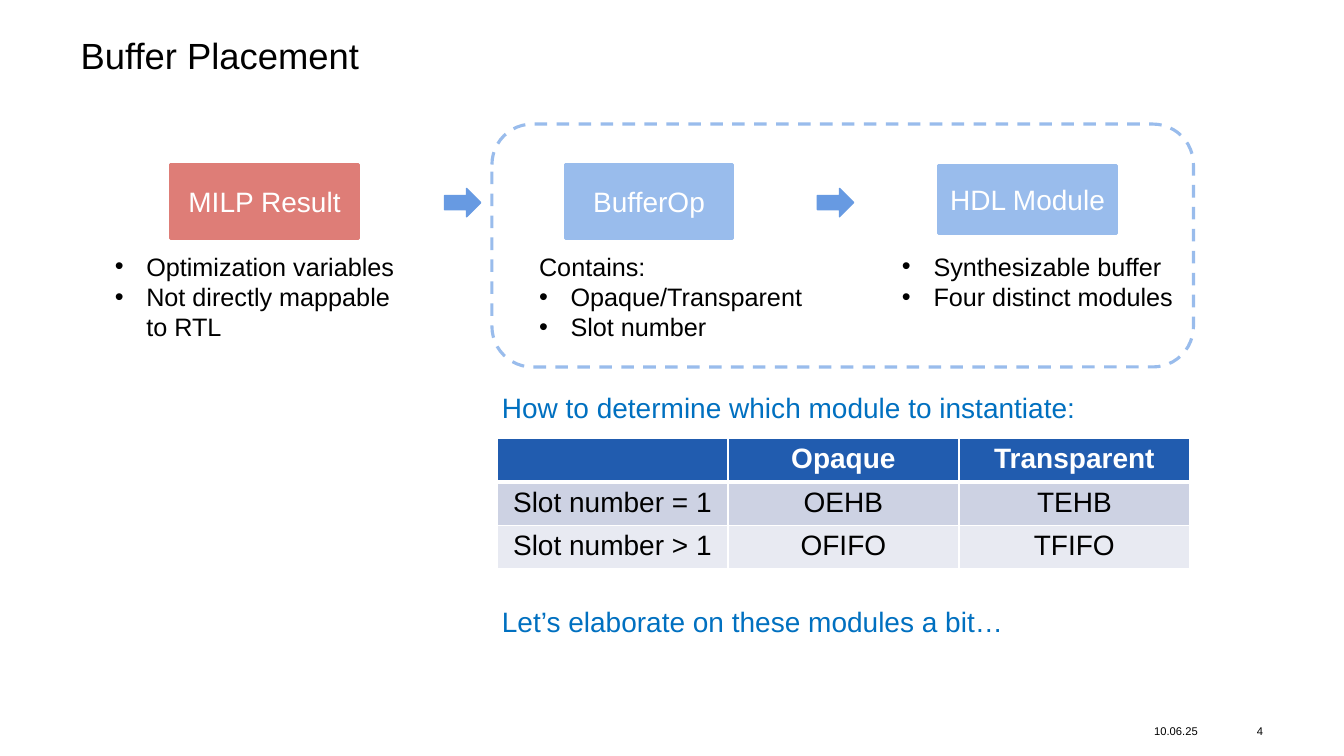
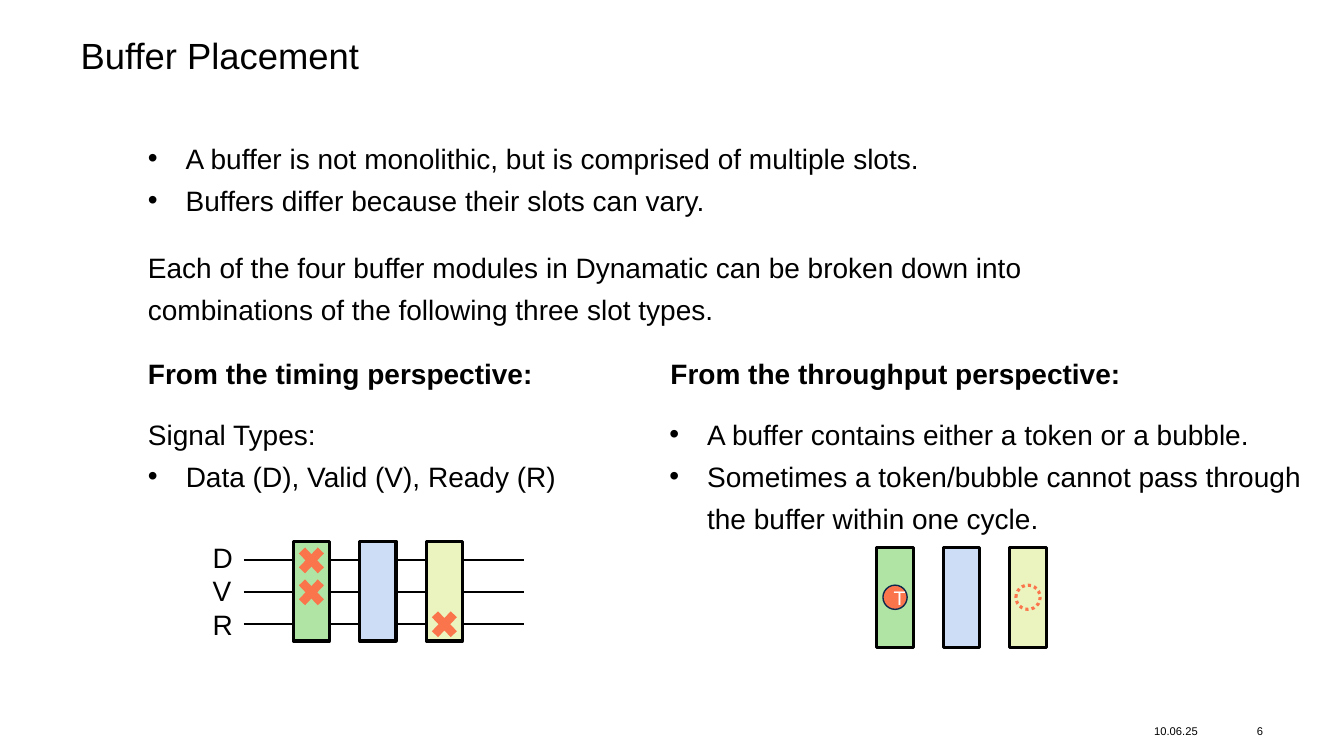
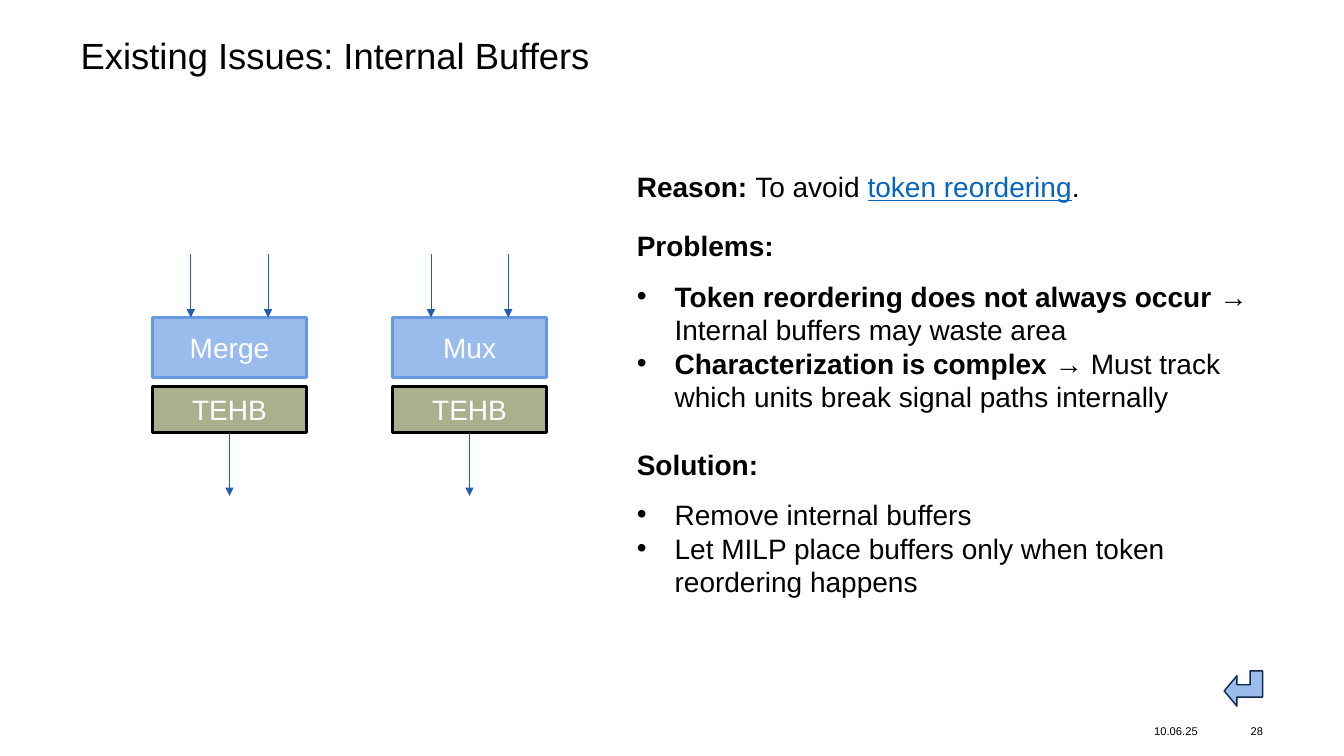
from dataclasses import dataclass
from typing import NamedTuple, Optional

from lxml import etree
from pptx import Presentation
from pptx import util as u
from pptx.dml import color as dml
from pptx.enum import dml as styles
from pptx.enum import shapes, text
from pptx.oxml import ns

COLORS = {
    "black": "000000",
    "white": "FFFFFF",
    "navy": "0E284D",
    "blue": "215CAF",
    "mid_blue": "679AE2",
    "light_blue": "99BCEC",
    "pale_blue": "CCDDF5",
    "caption": "0070C0",
    "link": "0563C1",
    "red": "DE7D77",
    "orange": "FB754C",
    "green": "B0E4A4",
    "lime": "EBF4BE",
    "olive": "AAB08D",
    "odd_row": "CDD2E3",
    "even_row": "E8EAF2",
}
FONT = "Arial"
DATE = "10.06.25"
LOOSE = 30
INSETS = (7.2, 3.6, 7.2, 3.6)
CENTER = text.PP_ALIGN.CENTER
MIDDLE = text.MSO_ANCHOR.MIDDLE
TOP = text.MSO_ANCHOR.TOP
SHAPE = shapes.MSO_SHAPE


class Box(NamedTuple):
    left: float
    top: float
    width: float
    height: float


class Span(NamedTuple):
    words: str
    bold: bool = False
    color: str = "black"
    underline: bool = False


@dataclass
class Line:
    spans: list[Span]
    size: float = 20
    indent: float = 0
    spacing: Optional[float] = None
    before: float = 0
    after: float = 0
    align: Optional[text.PP_ALIGN] = None


@dataclass
class Stage:
    label: str
    box: Box
    fill: str
    notes: Box
    lines: list[Line]


@dataclass
class SlotType:
    fill: str
    blocked: list[int]


def plain(words: str, **options) -> Line:
    return Line([Span(words)], **options)


def rgb(name: str) -> dml.RGBColor:
    return dml.RGBColor.from_string(COLORS[name])


def points(*values: float) -> list[u.Length]:
    return [u.Pt(value) for value in values]


def child(parent, tag: str, **attributes: str):
    return etree.SubElement(parent, ns.qn(tag), attributes)


def write(frame, lines: list[Line], anchor=TOP, insets=INSETS) -> None:
    frame.word_wrap = True
    frame.auto_size = text.MSO_AUTO_SIZE.NONE
    frame.vertical_anchor = anchor
    (frame.margin_left, frame.margin_top,
     frame.margin_right, frame.margin_bottom) = points(*insets)
    for index, line in enumerate(lines):
        paragraph = frame.add_paragraph() if index else frame.paragraphs[0]
        paragraph.alignment = line.align
        paragraph.space_before = u.Pt(line.before)
        paragraph.space_after = u.Pt(line.after)
        if line.spacing:
            exact = line.spacing > 5
            paragraph.line_spacing = u.Pt(line.spacing) if exact else line.spacing
        if line.indent:
            properties = paragraph._p.get_or_add_pPr()
            properties.set("marL", str(u.Pt(line.indent)))
            properties.set("indent", str(u.Pt(-line.indent)))
            child(properties, "a:buFont", typeface=FONT)
            child(properties, "a:buChar", char="•")
        for span in line.spans:
            run = paragraph.add_run()
            run.text = span.words
            run.font.name = FONT
            run.font.size = u.Pt(line.size)
            run.font.bold = span.bold
            run.font.underline = span.underline
            run.font.color.rgb = rgb(span.color)


def add_text(slide, box: Box, lines: list[Line], anchor=TOP, insets=INSETS) -> None:
    shape = slide.shapes.add_textbox(*points(*box))
    write(shape.text_frame, lines, anchor, insets)


def add_shape(slide, kind, box: Box, fill: Optional[str] = None,
              outline: Optional[str] = None, weight: float = 2.25,
              dash=None, label: str = "", size: float = 20):
    shape = slide.shapes.add_shape(kind, *points(*box))
    shape.shadow.inherit = False
    if fill:
        shape.fill.solid()
        shape.fill.fore_color.rgb = rgb(fill)
    else:
        shape.fill.background()
    if outline:
        shape.line.color.rgb = rgb(outline)
        shape.line.width = u.Pt(weight)
        if dash:
            shape.line.dash_style = dash
    else:
        shape.line.fill.background()
    if label:
        line = Line([Span(label, color="white")], size=size, align=CENTER)
        write(shape.text_frame, [line], MIDDLE)
    return shape


def add_line(slide, start: tuple[float, float], end: tuple[float, float],
             color: str, weight: float, arrow: bool = False) -> None:
    connector = slide.shapes.add_connector(
        shapes.MSO_CONNECTOR.STRAIGHT, *points(*start, *end))
    connector.line.color.rgb = rgb(color)
    connector.line.width = u.Pt(weight)
    if arrow:
        child(connector.line._get_or_add_ln(), "a:tailEnd", type="triangle")
    child(connector._element.spPr, "a:effectLst")


def add_slide(presentation, title: str, number: str):
    slide = presentation.slides.add_slide(presentation.slide_layouts[5])
    heading = slide.shapes.title
    heading.left, heading.top, heading.width, heading.height = points(57.6, 27.4, 844.6, 27.4)
    left = text.PP_ALIGN.LEFT
    none = (0, 0, 0, 0)
    write(heading.text_frame, [plain(title, size=26, spacing=0.9, align=left)], TOP, none)
    add_text(slide, Box(824.4, 513.4, 48.2, 17.3), [plain(DATE, size=8)], MIDDLE, none)
    right = text.PP_ALIGN.RIGHT
    add_text(slide, Box(877, 513.4, 25.2, 17.3),
             [plain(number, size=8, align=right)], MIDDLE, none)
    return slide


def set_borders(cell, top: float, bottom: float) -> None:
    properties = cell._tc.get_or_add_tcPr()
    widths = {"a:lnL": 1, "a:lnR": 1, "a:lnT": top, "a:lnB": bottom}
    for index, (tag, width) in enumerate(widths.items()):
        border = child(properties, tag, w=str(u.Pt(width)))
        child(child(border, "a:solidFill"), "a:srgbClr", val=COLORS["white"])
        properties.insert(index, border)


def add_module_table(slide) -> None:
    rows = [
        ["", "Opaque", "Transparent"],
        ["Slot number = 1", "OEHB", "TEHB"],
        ["Slot number > 1", "OFIFO", "TFIFO"],
    ]
    fills = ["blue", "odd_row", "even_row"]
    table = slide.shapes.add_table(3, 3, *points(355, 313.2, 495, 93)).table
    for row, (words, fill) in enumerate(zip(rows, fills)):
        header = row == 0
        for column, word in enumerate(words):
            cell = table.cell(row, column)
            cell.fill.solid()
            cell.fill.fore_color.rgb = rgb(fill)
            set_borders(cell, 3 if row == 1 else 1, 3 if header else 1)
            if word:
                span = Span(word, header, "white" if header else "black")
                paragraph = Line([span], align=CENTER)
                write_cell(cell, paragraph)


def write_cell(cell, line: Line) -> None:
    paragraph = cell.text_frame.paragraphs[0]
    paragraph.alignment = line.align
    for span in line.spans:
        run = paragraph.add_run()
        run.text = span.words
        run.font.name = FONT
        run.font.size = u.Pt(line.size)
        run.font.bold = span.bold
        run.font.color.rgb = rgb(span.color)


def build_modules_slide(presentation) -> None:
    slide = add_slide(presentation, "Buffer Placement", "4")
    bullet = {"size": 18, "indent": 22.5}
    stages = [
        Stage("MILP Result", Box(121.7, 117.4, 134.6, 53.3), "red",
              Box(74.9, 175.7, 229, 72.7),
              [plain("Optimization variables", **bullet),
               plain("Not directly mappable to RTL", **bullet)]),
        Stage("BufferOp", Box(403.9, 117.4, 119.5, 53.3), "light_blue",
              Box(378, 175.7, 204.5, 72.7),
              [plain("Contains:", size=18),
               plain("Opaque/Transparent", **bullet),
               plain("Slot number", **bullet)]),
        Stage("HDL Module", Box(670.3, 118.1, 127.4, 49), "light_blue",
              Box(637.2, 175.7, 215, 51),
              [plain("Synthesizable buffer", **bullet),
               plain("Four distinct modules", **bullet)]),
    ]
    for stage in stages:
        add_shape(slide, SHAPE.RECTANGLE, stage.box, stage.fill, stage.fill, label=stage.label)
        add_text(slide, stage.notes, stage.lines)
    for left in (317.5, 583.9):
        add_shape(slide, SHAPE.RIGHT_ARROW, Box(left, 134.6, 25.9, 20.2),
                  "mid_blue", "mid_blue", 1)
    add_shape(slide, SHAPE.ROUNDED_RECTANGLE, Box(351.4, 88.6, 501.1, 173.5),
              outline="light_blue", dash=styles.MSO_LINE.DASH)
    captions = {
        269.3: "How to determine which module to instantiate:",
        421.9: "Let’s elaborate on these modules a bit…",
    }
    for top, words in captions.items():
        add_text(slide, Box(351.4, top, 440, 34.6),
                 [Line([Span(words, color="caption")], spacing=LOOSE)])
    add_module_table(slide)


def build_slots_slide(presentation) -> None:
    slide = add_slide(presentation, "Buffer Placement", "6")
    bullet = {"indent": 27, "spacing": LOOSE}
    left, right = 98.6, 471
    add_text(slide, Box(left, 91.4, 620, 64.8), [
        plain("A buffer is not monolithic, but is comprised of multiple slots.", **bullet),
        plain("Buffers differ because their slots can vary.", **bullet)])
    add_text(slide, Box(left, 169.2, 686.9, 64.8), [
        plain("Each of the four buffer modules in Dynamatic can be broken down into "
              "combinations of the following three slot types.", spacing=LOOSE)])
    perspectives = [(left, 300, "timing"), (right + 0.8, 345, "throughput")]
    for start, width, name in perspectives:
        add_text(slide, Box(start, 251, width, 31.7),
                 [Line([Span(f"From the {name} perspective:", True)])])
    add_text(slide, Box(left, 288.7, 315, 95), [
        plain("Signal Types:", spacing=LOOSE),
        plain("Data (D), Valid (V), Ready (R)", **bullet)])
    add_text(slide, Box(right, 288.7, 474.5, 95), [
        plain("A buffer contains either a token or a bubble.", **bullet),
        plain("Sometimes a token/bubble cannot pass through the buffer within one cycle.",
              **bullet)])

    wires = [400.3 + 22.8 * index for index in range(3)]
    for height in wires:
        add_line(slide, (174.2, height), (374.4, height), "black", 1.5)
    add_text(slide, Box(144.7, 382.3, 43.9, 79.9), [plain(name) for name in "DVR"])

    slot_types = [SlotType("green", [0, 1]), SlotType("pale_blue", []), SlotType("lime", [2])]
    width, height, pitch, mark = 25.9, 71.3, 47.5, 27.4
    timing_left, flow_left, flow_top, disc = 209.5, 626.4, 391, 17.3
    for index, slot in enumerate(slot_types):
        start = timing_left + index * pitch
        timing_box = Box(start, 386.6, width, height)
        flow_box = Box(flow_left + index * pitch, flow_top, width, height)
        for box in (timing_box, flow_box):
            add_shape(slide, SHAPE.RECTANGLE, box, slot.fill, "black")
        for wire in slot.blocked:
            add_shape(slide, SHAPE.MATH_MULTIPLY,
                      Box(start, wires[wire] - mark / 2, width, mark), "orange")
    inset = (width - disc) / 2
    disc_top = flow_top + (height - disc) / 2
    add_shape(slide, SHAPE.OVAL, Box(flow_left + inset, disc_top, disc, disc),
              "orange", "navy", 1, label="T", size=14)
    add_shape(slide, SHAPE.OVAL, Box(flow_left + 2 * pitch + inset, disc_top, disc, disc),
              outline="orange", dash=styles.MSO_LINE.ROUND_DOT)


def build_issues_slide(presentation) -> None:
    slide = add_slide(presentation, "Existing Issues: Internal Buffers", "28")
    width = 110.4
    for left, name in ((108.7, "Merge"), (280.2, "Mux")):
        add_shape(slide, SHAPE.RECTANGLE, Box(left, 226.8, width, 43.2),
                  "light_blue", "mid_blue", label=name)
        add_shape(slide, SHAPE.RECTANGLE, Box(left, 275.8, width, 33.1),
                  "olive", "black", label="TEHB")
        for share, top, bottom in ((0.25, 181.4, 226.8), (0.75, 181.4, 226.8),
                                   (0.5, 309.6, 354.2)):
            center = left + share * width
            add_line(slide, (center, top), (center, bottom), "blue", 0.5, arrow=True)
    add_text(slide, Box(447.8, 111.6, 333.4, 34.6), [
        Line([Span("Reason: ", True), Span("To avoid "),
              Span("token reordering", color="link", underline=True), Span(".")],
             spacing=LOOSE)])
    add_text(slide, Box(447.8, 159.8, 470.9, 331.2), [
        Line([Span("Problems:", True)], after=12),
        Line([Span("Token reordering does not always occur ", True),
              Span("→ Internal buffers may waste area")], indent=27),
        Line([Span("Characterization is complex", True),
              Span(" → Must track which units break signal paths internally")], indent=27),
        Line([Span("Solution:", True)], before=24, after=12),
        plain("Remove internal buffers", indent=27),
        plain("Let MILP place buffers only when token reordering happens", indent=27)])
    back = add_shape(slide, SHAPE.BENT_UP_ARROW, Box(875.5, 478.1, 25.2, 27.4),
                     "light_blue", "navy", 1)
    for index, value in enumerate((0.35, 0.43, 0.36)):
        back.adjustments[index] = value
    back.rotation = 270
    back._element.spPr.xfrm.set("flipH", "1")


def main() -> None:
    presentation = Presentation()
    presentation.slide_width, presentation.slide_height = points(960, 540)
    build_modules_slide(presentation)
    build_slots_slide(presentation)
    build_issues_slide(presentation)
    presentation.save("out.pptx")


if __name__ == "__main__":
    main()
